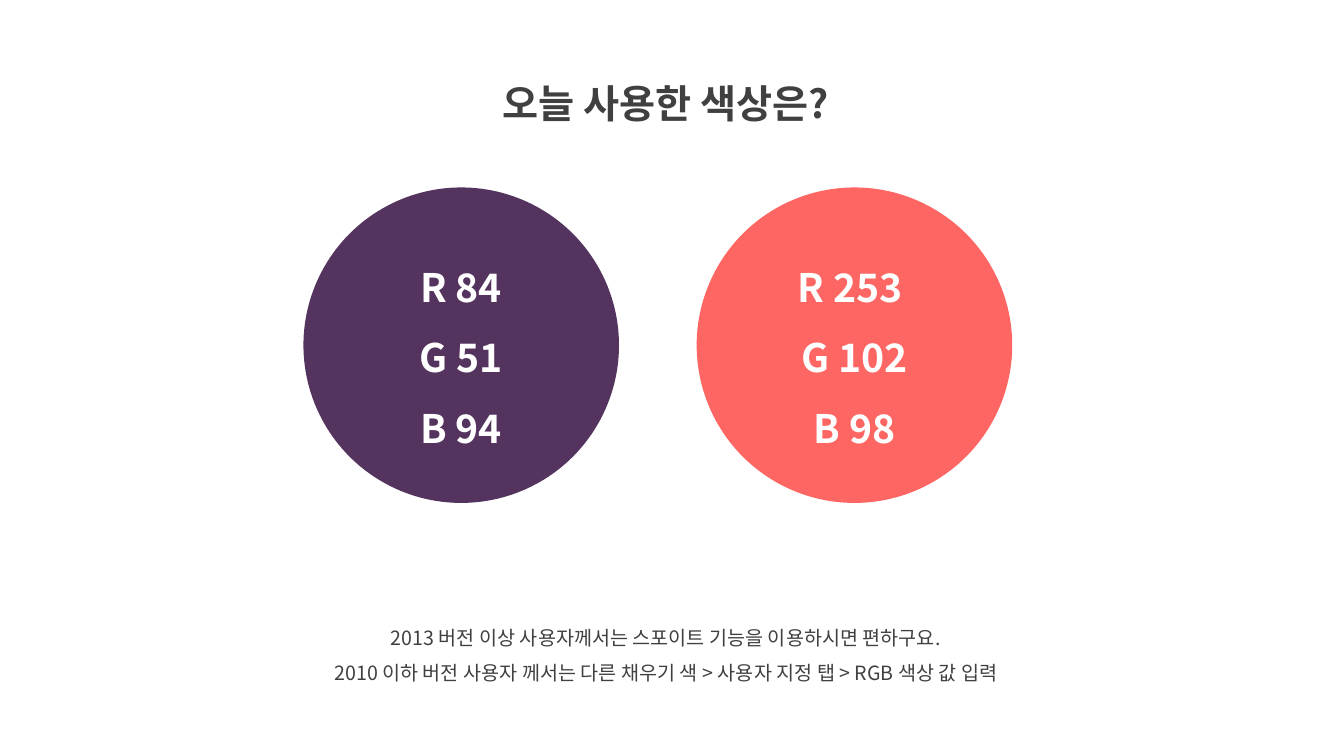
from pptx import Presentation
from pptx.dml.color import RGBColor
from pptx.enum.shapes import MSO_SHAPE
from pptx.enum.text import MSO_ANCHOR, MSO_AUTO_SIZE, PP_ALIGN
from pptx.oxml.ns import qn
from pptx.util import Inches, Pt
from lxml import etree

OVAL = MSO_SHAPE.OVAL
TOP = MSO_ANCHOR.TOP
MIDDLE = MSO_ANCHOR.MIDDLE
FIXED = MSO_AUTO_SIZE.NONE
CENTER = PP_ALIGN.CENTER

FONT = "Noto Sans CJK KR"
GRAY = RGBColor(0x40, 0x40, 0x40)
WHITE = RGBColor(0xFF, 0xFF, 0xFF)
PURPLE = RGBColor(0x54, 0x33, 0x5E)
CORAL = RGBColor(0xFD, 0x66, 0x62)

TITLE = "오늘 사용한 색상은?"
COLORS = [
    (PURPLE, ["R 84", "G 51", "B 94"]),
    (CORAL, ["R 253 ", "G 102", "B 98"]),
]
NOTES = [
    "2013 버전 이상 사용자께서는 스포이트 기능을 이용하시면 편하구요.",
    "2010 이하 버전 사용자 께서는 다른 채우기 색 > 사용자 지정 탭 > RGB 색상 값 입력",
]


def write(shape, lines, size=28, color=GRAY, bold=True, anchor=TOP):
    frame = shape.text_frame
    frame.word_wrap = True
    frame.auto_size = FIXED
    frame.vertical_anchor = anchor
    for i, line in enumerate(lines):
        para = frame.add_paragraph() if i else frame.paragraphs[0]
        para.alignment = CENTER
        para.line_spacing = 1.5
        run = para.add_run()
        run.text = line
        font = run.font
        font.name = FONT
        font.size = Pt(size)
        font.bold = bold
        font.color.rgb = color
        east = etree.SubElement(run._r.get_or_add_rPr(), qn("a:ea"))
        east.set("typeface", FONT)


def add_title(slide, left, top, width, height):
    title = slide.shapes.title
    title.left, title.top = Inches(left), Inches(top)
    title.width, title.height = Inches(width), Inches(height)
    write(title, [TITLE])


def add_colors(slide, left, top, size, gap):
    for i, (color, values) in enumerate(COLORS):
        x = left + i * (size + gap)
        circle = slide.shapes.add_shape(
            OVAL, Inches(x), Inches(top), Inches(size), Inches(size))
        circle.shadow.inherit = False
        circle.fill.solid()
        circle.fill.fore_color.rgb = color
        circle.line.fill.background()
        write(circle, values, color=WHITE, anchor=MIDDLE)


def add_notes(slide, left, top, width, height):
    box = slide.shapes.add_textbox(
        Inches(left), Inches(top), Inches(width), Inches(height))
    write(box, NOTES, size=14, bold=False)


def main():
    deck = Presentation()
    deck.slide_width = Inches(13.33)
    deck.slide_height = Inches(7.5)
    slide = deck.slides.add_slide(deck.slide_layouts[5])
    add_title(slide, 4.29, 0.5, 4.63, 0.72)
    add_notes(slide, 2.61, 6.04, 7.99, 0.81)
    add_colors(slide, 3.01, 1.86, 3.13, 0.77)
    deck.save("out.pptx")


if __name__ == "__main__":
    main()
